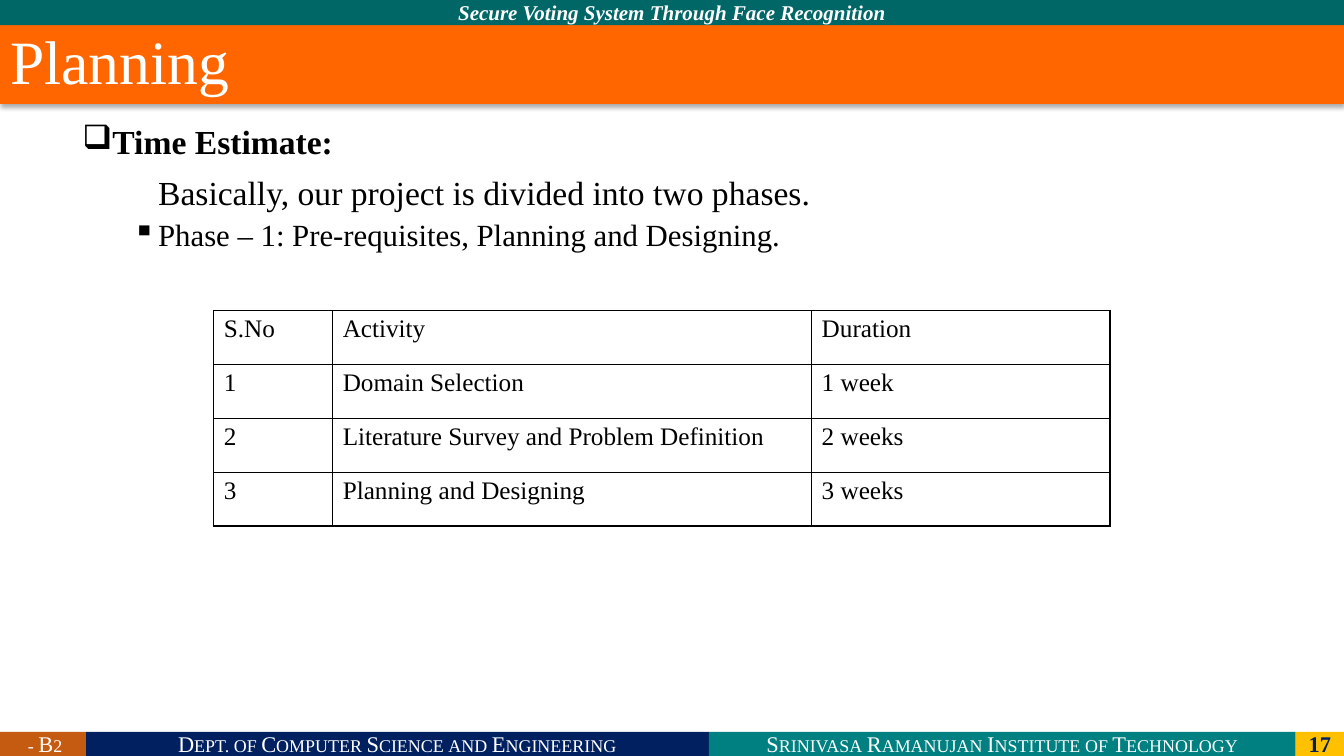
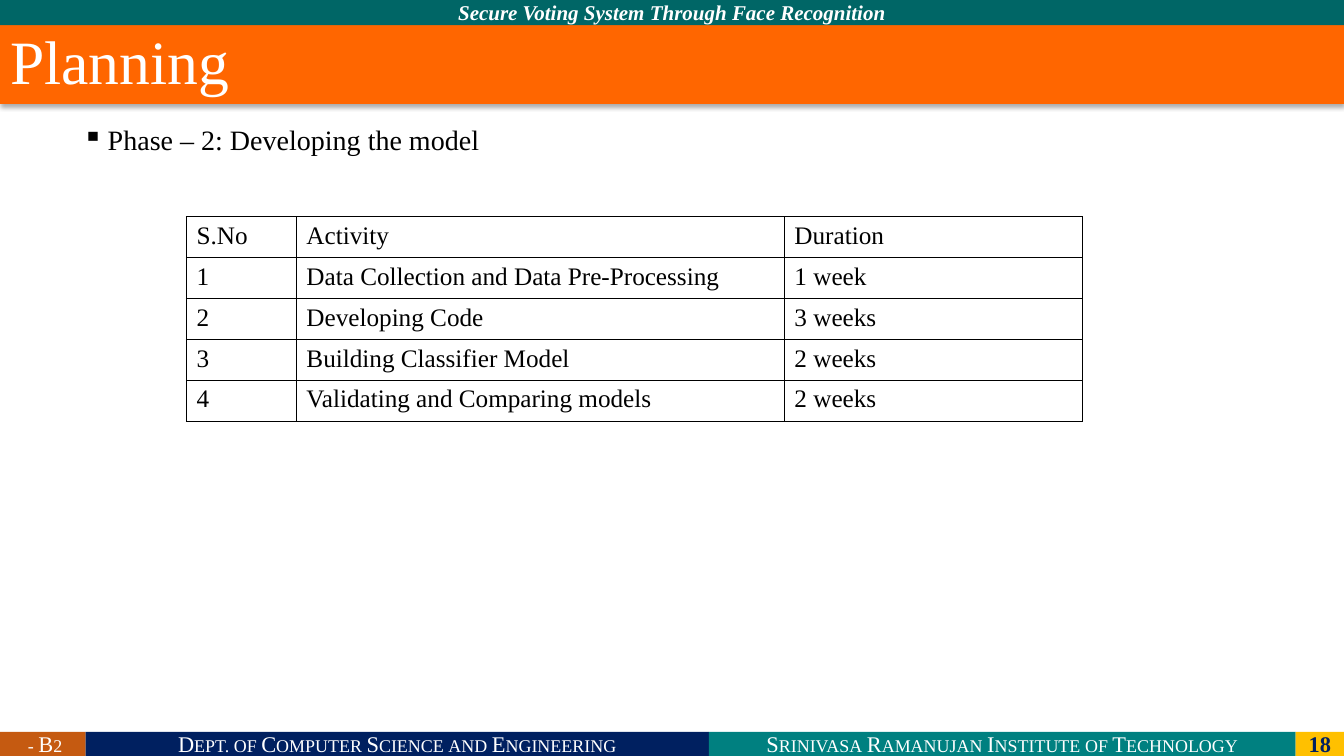
"""Build two planning slides with phase schedules for a voting system project."""
from dataclasses import dataclass

from lxml.etree import SubElement
from pptx import Presentation
from pptx.dml.color import RGBColor as RGB
from pptx.enum.shapes import MSO_SHAPE as Preset
from pptx.enum.text import MSO_ANCHOR as Anchor, MSO_AUTO_SIZE as AutoSize, PP_ALIGN as Align
from pptx.oxml.ns import qn
from pptx.util import Inches, Pt


@dataclass(frozen=True)
class Theme:
    font: str = "Times New Roman"
    white: str = "FFFFFF"
    black: str = "000000"
    navy: str = "002060"
    teal: str = "008080"
    dark_teal: str = "006666"
    gold: str = "FFC000"
    rust: str = "C55A11"
    orange: str = "FF6600"
    title_size: int = 44
    heading_size: int = 24
    phase_size: int = 22
    small_phase_size: int = 20
    cell_size: int = 18
    footer_size: int = 16
    header_size: int = 15


theme = Theme()
WIDTH = 13.33
FOOTER_TOP, FOOTER_HEIGHT = 7.26, 0.24
HEADER_HEIGHT = 0.25


def style(paragraph, size, color, bold=False, italic=False, small_caps=False):
    font = paragraph.font
    font.name, font.size, font.bold, font.italic = theme.font, Pt(size), bold, italic
    font.color.rgb = RGB.from_string(color)
    if small_caps:
        paragraph._p.get_or_add_pPr().get_or_add_defRPr().set("cap", "small")


def add_band(slide, left, top, width, height, fill, text, size, color=theme.white, **looks):
    band = slide.shapes.add_shape(
        Preset.RECTANGLE, Inches(left), Inches(top), Inches(width), Inches(height))
    band.shadow.inherit = False
    band.fill.solid()
    band.fill.fore_color.rgb = RGB.from_string(fill)
    band.line.fill.background()
    band.text_frame.vertical_anchor = Anchor.MIDDLE
    paragraph = band.text_frame.paragraphs[0]
    paragraph.text = text
    paragraph.alignment = Align.CENTER
    style(paragraph, size, color, **looks)


footers = [
    (0.85, theme.rust, " - B2"),
    (6.18, theme.navy, "Dept. of Computer Science and Engineering"),
    (5.82, theme.teal, "Srinivasa Ramanujan Institute of Technology"),
]

pages = [
    {
        "number": 17,
        "body": [
            ("Time Estimate:", theme.heading_size, True, "❑", 0.5, 0, 5),
            ("Basically, our project is divided into two phases.",
             theme.heading_size, False, None, 1.25, 0, 10),
            ("Phase – 1: Pre-requisites, Planning and Designing.",
             theme.phase_size, False, "▪", 1.25, -0.25, 5),
        ],
        "place": (2.12, 3.08, 8.89, 2.14),
        "columns": (1.18, 4.75, 2.96),
        "activities": [
            ("Domain Selection", "1 week"),
            ("Literature Survey and Problem Definition", "2 weeks"),
            ("Planning and Designing", "3 weeks"),
        ],
    },
    {
        "number": 18,
        "body": [
            ("Phase – 2: Developing the model",
             theme.small_phase_size, False, "▪", 0.75, -0.25, 5),
        ],
        "place": (1.85, 2.15, 8.89, 2.03),
        "columns": (1.09, 4.84, 2.96),
        "activities": [
            ("Data Collection and Data Pre-Processing", "1 week"),
            ("Developing Code", "3 weeks"),
            ("Building Classifier Model", "2 weeks"),
            ("Validating and Comparing models", "2 weeks"),
        ],
    },
]

presentation = Presentation()
presentation.slide_width, presentation.slide_height = Inches(WIDTH), Inches(7.5)

for page in pages:
    slide = presentation.slides.add_slide(presentation.slide_layouts[5])

    left = 0
    for width, fill, text in footers:
        add_band(slide, left, FOOTER_TOP, width, FOOTER_HEIGHT, fill, text,
                 theme.footer_size, small_caps=True)
        left += width
    add_band(slide, left, FOOTER_TOP, WIDTH - left, FOOTER_HEIGHT, theme.gold,
             str(page["number"]), theme.footer_size, theme.navy, bold=True)
    add_band(slide, 0, 0, WIDTH, HEADER_HEIGHT, theme.dark_teal,
             "Secure Voting System Through Face Recognition",
             theme.header_size, bold=True, italic=True)

    title = slide.shapes.title
    title.left, title.top = Inches(0), Inches(HEADER_HEIGHT)
    title.width, title.height = Inches(WIDTH), Inches(0.78)
    title.fill.solid()
    title.fill.fore_color.rgb = RGB.from_string(theme.orange)
    title.shadow.inherit = False
    effects = title._element.spPr.find(qn("a:effectLst"))
    shadow = SubElement(effects, qn("a:outerShdw"), blurRad=str(Pt(3.5)),
                        dist=str(Pt(2.2)), dir="5400000", algn="t", rotWithShape="0")
    shadow_color = SubElement(shadow, qn("a:srgbClr"), val=theme.black)
    SubElement(shadow_color, qn("a:alpha"), val="32000")
    title.text_frame.text = "Planning"
    title.text_frame.auto_size = AutoSize.NONE
    title.text_frame.vertical_anchor = Anchor.MIDDLE
    paragraph = title.text_frame.paragraphs[0]
    paragraph.alignment = Align.LEFT
    paragraph.line_spacing = 0.9
    style(paragraph, theme.title_size, theme.white)

    body = slide.shapes.add_textbox(Inches(0.22), Inches(1.2), Inches(12.88), Inches(5.9))
    body.text_frame.word_wrap = True
    for index, (text, size, bold, bullet, margin, indent, space) in enumerate(page["body"]):
        paragraph = body.text_frame.add_paragraph() if index else body.text_frame.paragraphs[0]
        paragraph.text = text
        paragraph.alignment = Align.JUSTIFY
        paragraph.line_spacing = 0.9
        paragraph.space_before = Pt(space)
        properties = paragraph._p.get_or_add_pPr()
        properties.set("marL", str(Inches(margin)))
        properties.set("indent", str(Inches(indent)))
        if bullet:
            SubElement(properties, qn("a:buChar"), char=bullet)
        style(paragraph, size, theme.black, bold)

    rows = [("S.No", "Activity", "Duration")]
    rows += [(str(number), *activity) for number, activity in enumerate(page["activities"], 1)]
    table = slide.shapes.add_table(len(rows), 3, *map(Inches, page["place"])).table
    table.first_row = table.horz_banding = False
    for column, width in zip(table.columns, page["columns"]):
        column.width = Inches(width)
    for row_index, row in enumerate(rows):
        for column_index, text in enumerate(row):
            cell = table.cell(row_index, column_index)
            cell.text = text
            style(cell.text_frame.paragraphs[0], theme.cell_size, theme.black)
            properties = cell._tc.get_or_add_tcPr()
            for side in ("a:lnL", "a:lnR", "a:lnT", "a:lnB"):
                line = SubElement(properties, qn(side), w=str(Pt(1)))
                line_fill = SubElement(line, qn("a:solidFill"))
                SubElement(line_fill, qn("a:srgbClr"), val=theme.black)
            cell.fill.background()

presentation.save("out.pptx")
